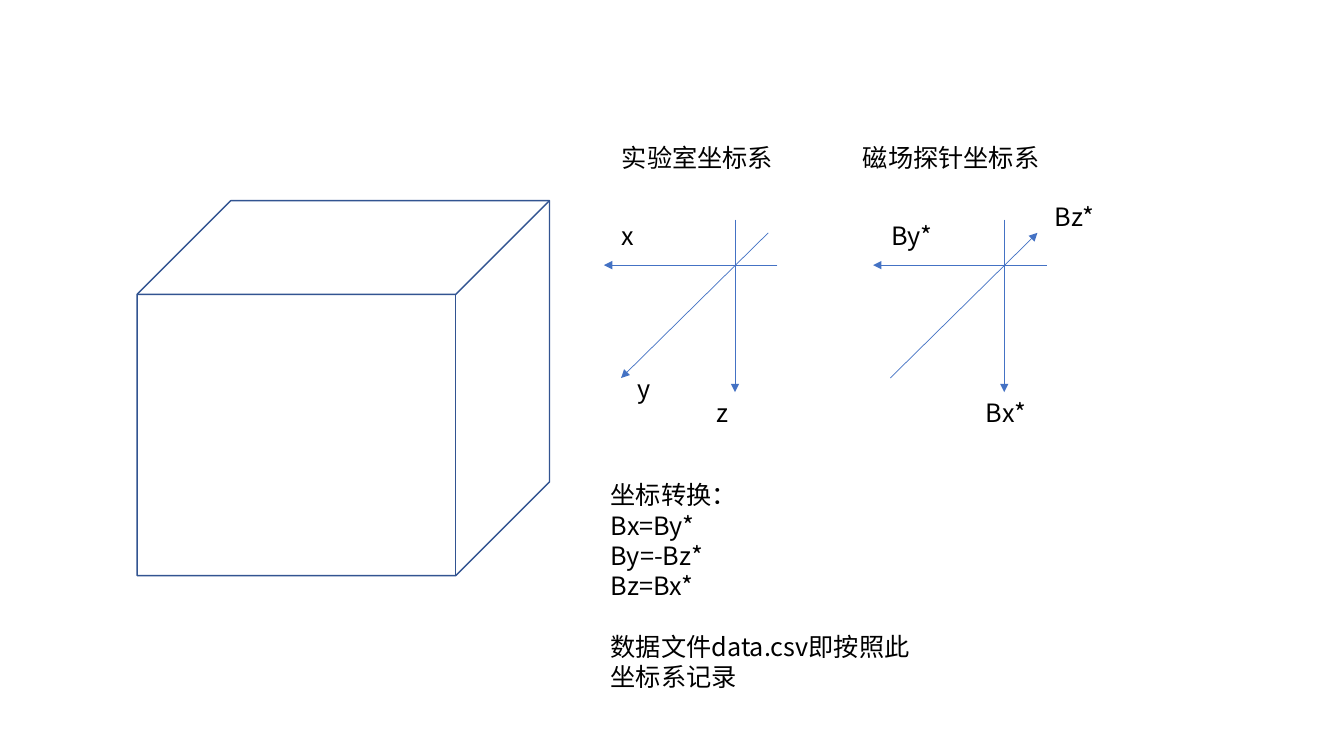
from dataclasses import dataclass
from lxml.etree import SubElement
from pptx import Presentation
from pptx.dml.color import RGBColor as Rgb
from pptx.enum.shapes import MSO_CONNECTOR as Conn, MSO_SHAPE as Shape
from pptx.enum.text import MSO_AUTO_SIZE as Fit
from pptx.oxml.ns import qn
from pptx.util import Inches, Pt


@dataclass(frozen=True)
class Theme:
    font: str = "Noto Sans CJK SC"
    size: float = 18
    pitch: float = 21.6
    ink: Rgb = Rgb(0, 0, 0)
    edge: Rgb = Rgb(0x32, 0x54, 0x91)
    axis: Rgb = Rgb(0x44, 0x72, 0xC4)


THEME = Theme()


def add_text(slide, left, top, width, height, text):
    box = slide.shapes.add_textbox(*map(Inches, (left, top, width, height)))
    frame = box.text_frame
    frame.word_wrap = True
    frame.auto_size = Fit.SHAPE_TO_FIT_TEXT
    frame.text = text
    for para in frame.paragraphs:
        para.line_spacing = Pt(THEME.pitch)
        for run in para.runs:
            run.font.size = Pt(THEME.size)
            run.font.name = THEME.font
            run.font.color.rgb = THEME.ink
            SubElement(run.font._element, qn("a:ea"), typeface=THEME.font)
    return frame


def add_axis(slide, start, end):
    """Draw a thin line with its arrowhead at the end point."""
    line = slide.shapes.add_connector(
        Conn.STRAIGHT, *map(Inches, (*start, *end)))
    line.line.color.rgb = THEME.axis
    line.line.width = Pt(0.5)
    SubElement(line.line._get_or_add_ln(), qn("a:tailEnd"), type="triangle")
    SubElement(line._element.spPr, qn("a:effectLst"))


def add_frame(slide, x, labels, inward=False):
    """Draw three axes that cross at x, with labels given as (text, left, top)."""
    y = 2.63
    near, far = (x - 1.13, 3.75), (x + 0.33, 2.31)
    add_axis(slide, (x, 2.18), (x, 3.89))
    add_axis(slide, (x + 0.42, y), (x - 1.3, y))
    add_axis(slide, *((near, far) if inward else (far, near)))
    for text, left, top in labels:
        add_text(slide, left, top, 0.98, 0.4, text)


def add_cube(slide, left, top, width, height):
    cube = slide.shapes.add_shape(
        Shape.CUBE, *map(Inches, (left, top, width, height)))
    cube.shadow.inherit = False
    cube.fill.background()
    cube.line.color.rgb = THEME.edge
    cube.line.width = Pt(1)


def add_notes(slide):
    lines = ("坐标转换：", "Bx=By*", "By=-Bz*", "Bz=Bx*",
             "数据文件data.csv即按照此坐标系记录")
    frame = add_text(slide, 5.96, 4.71, 3.33, 2.52, "\n".join(lines))
    frame.paragraphs[-1].space_before = Pt(THEME.pitch)


def main():
    deck = Presentation()
    deck.slide_width, deck.slide_height = Inches(13.33), Inches(7.5)
    slide = deck.slides.add_slide(deck.slide_layouts[6])
    add_cube(slide, 1.36, 1.99, 4.09, 3.72)
    add_text(slide, 6.07, 1.36, 1.79, 0.4, "实验室坐标系")
    add_frame(slide, 7.29,
              [("x", 6.07, 2.14), ("y", 6.22, 3.65), ("z", 7.01, 3.89)])
    add_text(slide, 8.46, 1.36, 2.09, 0.4, "磁场探针坐标系")
    add_frame(slide, 9.96,
              [("By*", 8.74, 2.14), ("Bz*", 10.36, 1.95), ("Bx*", 9.68, 3.89)],
              inward=True)
    add_notes(slide)
    deck.save("out.pptx")


if __name__ == "__main__":
    main()
